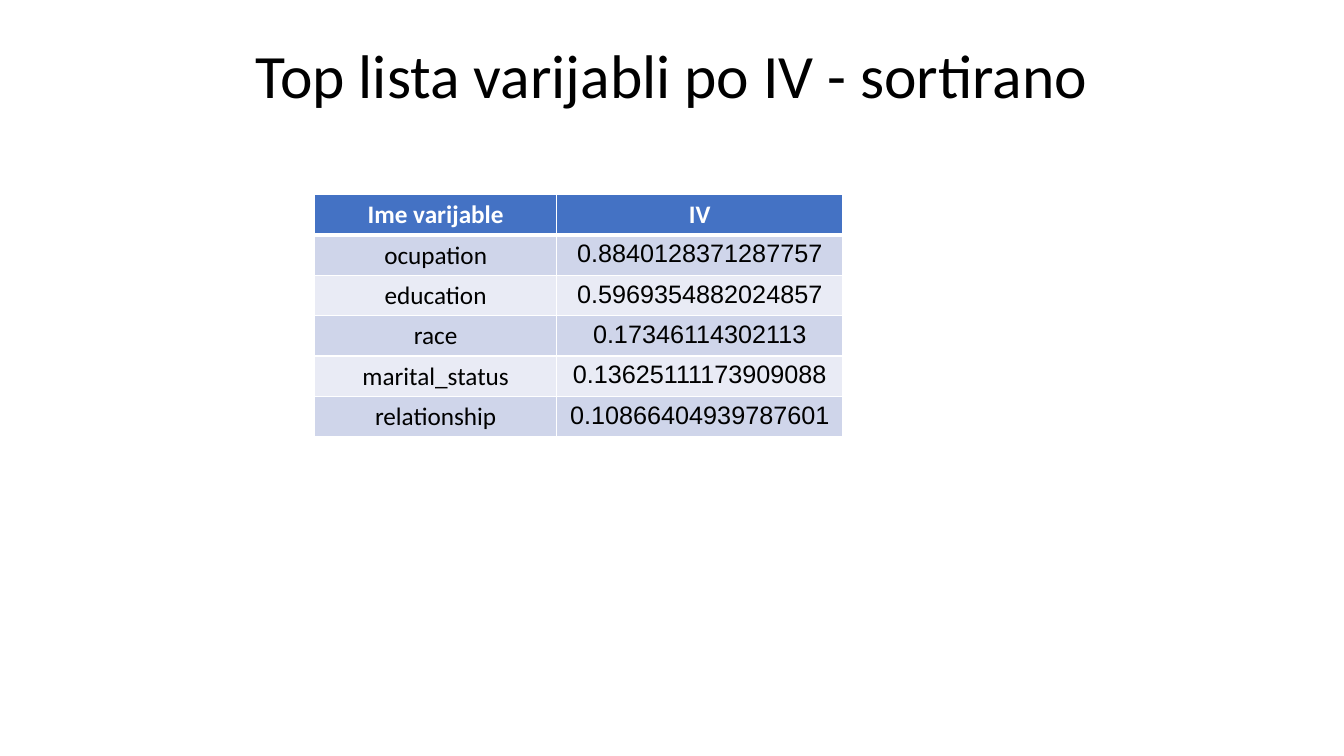
from lxml.etree import SubElement
from pptx import Presentation
from pptx.dml.color import RGBColor
from pptx.enum.text import MSO_ANCHOR, PP_ALIGN
from pptx.oxml.ns import qn
from pptx.util import Pt

TITLE = "Top lista varijabli po IV - sortirano"
ROWS = [
    ("Ime varijable", "IV"),
    ("ocupation", "0.8840128371287757"),
    ("education", "0.5969354882024857"),
    ("race", "0.17346114302113"),
    ("marital_status", "0.13625111173909088"),
    ("relationship", "0.10866404939787601"),
]
COLUMN_WIDTHS = (172.8, 204.5)
ROW_HEIGHT = 28.8

BLACK = RGBColor(0x00, 0x00, 0x00)
WHITE = RGBColor(0xFF, 0xFF, 0xFF)
HEADER_BLUE = RGBColor(0x44, 0x72, 0xC4)
BANDS = (RGBColor(0xE9, 0xEB, 0xF5), RGBColor(0xCF, 0xD5, 0xEA))


def style_paragraph(para, font_name, size, color, bold=False):
    para.alignment = PP_ALIGN.CENTER
    para.font.name = font_name
    para.font.size = Pt(size)
    para.font.color.rgb = color
    para.font.bold = bold


def set_borders(cell, top, bottom):
    """Draw white cell borders; top and bottom are widths in points."""
    properties = cell._tc.get_or_add_tcPr()
    widths = {"a:lnL": 1, "a:lnR": 1, "a:lnT": top, "a:lnB": bottom}
    for position, (tag, width) in enumerate(widths.items()):
        line = SubElement(properties, qn(tag), w=str(Pt(width)))
        fill = SubElement(line, qn("a:solidFill"))
        SubElement(fill, qn("a:srgbClr"), val=str(WHITE))
        properties.insert(position, line)


def add_title(page):
    box = page.shapes.add_textbox(Pt(66), Pt(28.8), Pt(828), Pt(104.4))
    frame = box.text_frame
    frame.word_wrap = True
    frame.vertical_anchor = MSO_ANCHOR.TOP
    para = frame.paragraphs[0]
    para.text = TITLE
    para.line_spacing = 0.9
    style_paragraph(para, "Calibri", 44, BLACK)


def add_variable_table(page):
    table = page.shapes.add_table(
        len(ROWS), len(COLUMN_WIDTHS), Pt(224.8), Pt(139),
        Pt(sum(COLUMN_WIDTHS)), Pt(ROW_HEIGHT * len(ROWS))).table
    for column, width in zip(table.columns, COLUMN_WIDTHS):
        column.width = Pt(width)
    for i, row in enumerate(ROWS):
        table.rows[i].height = Pt(ROW_HEIGHT)
        header = i == 0
        for j, text in enumerate(row):
            cell = table.cell(i, j)
            cell.text = text
            cell.fill.solid()
            cell.fill.fore_color.rgb = HEADER_BLUE if header else BANDS[i % 2]
            font_name = "Calibri" if header or j == 0 else "Arial"
            style_paragraph(cell.text_frame.paragraphs[0], font_name, 18,
                            WHITE if header else BLACK, bold=header)
            set_borders(cell, top=3 if i == 1 else 1, bottom=3 if header else 1)


def main():
    deck = Presentation()
    deck.slide_width, deck.slide_height = Pt(960), Pt(540)
    page = deck.slides.add_slide(deck.slide_layouts[6])
    add_title(page)
    add_variable_table(page)
    deck.save("out.pptx")


if __name__ == "__main__":
    main()
